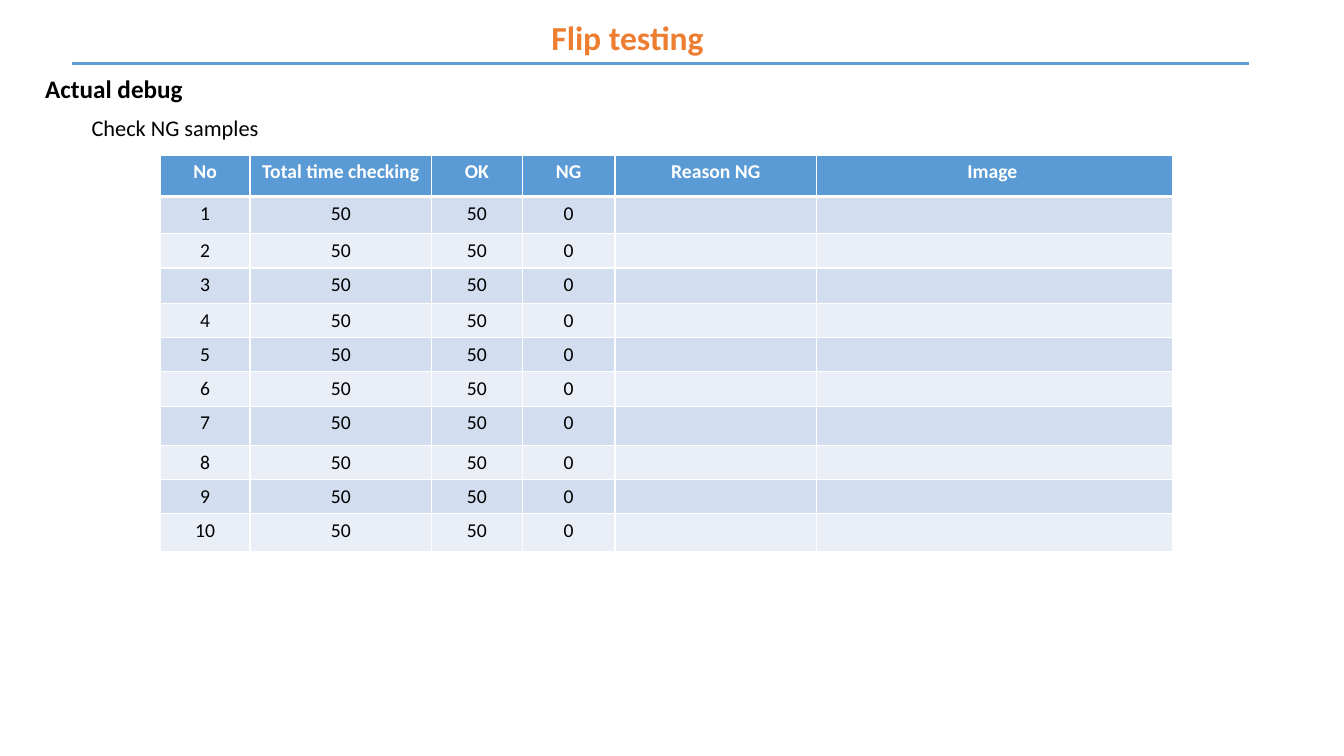
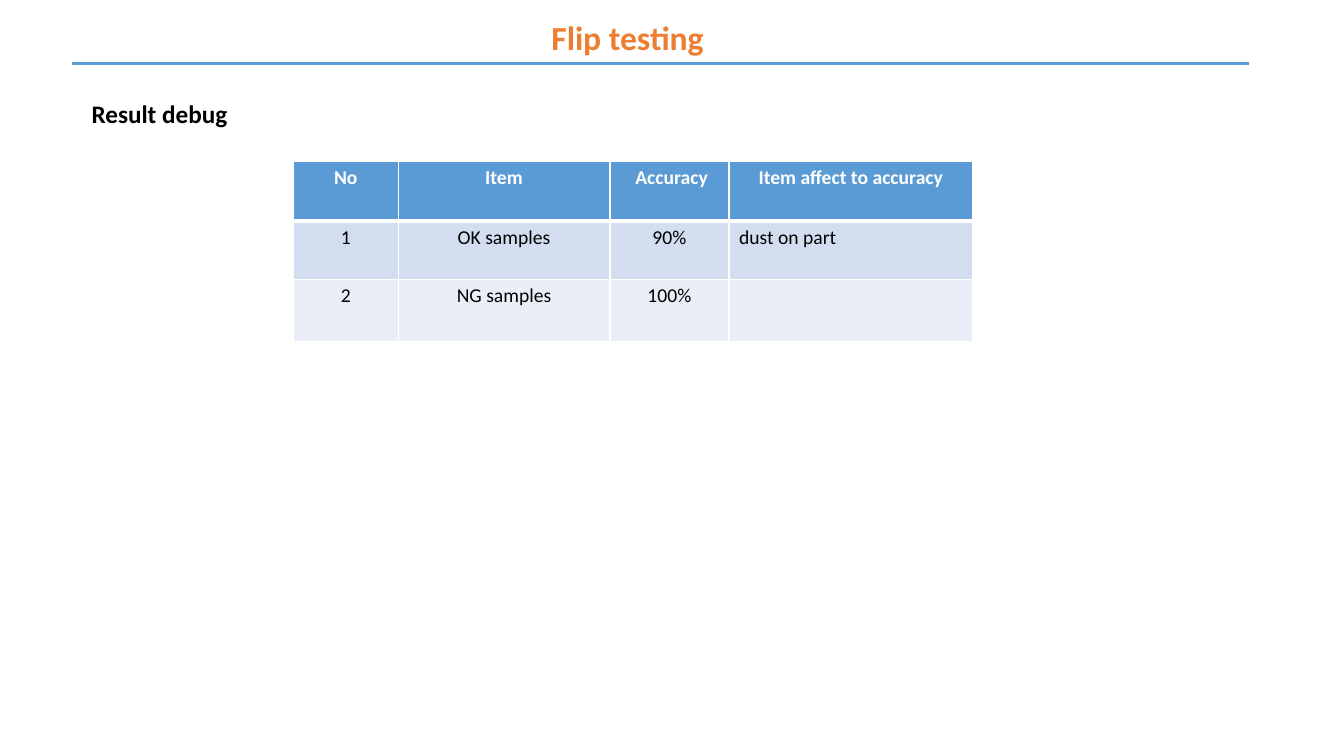
from lxml import etree
from pptx import Presentation
from pptx.dml.color import RGBColor
from pptx.enum.shapes import MSO_CONNECTOR
from pptx.enum.text import MSO_AUTO_SIZE, PP_ALIGN
from pptx.oxml.ns import qn
from pptx.util import Inches, Pt

STRAIGHT = MSO_CONNECTOR.STRAIGHT
FIT_SHAPE = MSO_AUTO_SIZE.SHAPE_TO_FIT_TEXT
LEFT, CENTER = PP_ALIGN.LEFT, PP_ALIGN.CENTER
FONT = "Calibri"
TABLE_SIZE = 14
COLORS = {
    "title": "ED7D31",
    "accent": "5B9BD5",
    "odd": "D2DEEF",
    "even": "EAEFF7",
    "text": "000000",
    "white": "FFFFFF",
}


def rgb(name):
    """Return the named colour of the deck."""
    return RGBColor.from_string(COLORS[name])


def add_span(para, text, size, color, bold=False):
    """Add one formatted run to a paragraph."""
    span = para.add_run()
    span.text = text
    span.font.name = FONT
    span.font.size = Pt(size)
    span.font.bold = bold
    span.font.color.rgb = rgb(color)


def add_label(page, box, text, size, color="text", bold=False):
    """Place a line of text in a box given in inches."""
    frame = page.shapes.add_textbox(*map(Inches, box)).text_frame
    frame.word_wrap = True
    frame.auto_size = FIT_SHAPE
    add_span(frame.paragraphs[0], text, size, color, bold)


def add_page(deck, title):
    """Add a blank slide with the shared title and rule."""
    page = deck.slides.add_slide(deck.slide_layouts[6])
    rule = page.shapes.add_connector(
        STRAIGHT, Inches(0.71), Inches(0.63), Inches(12.39), Inches(0.63))
    rule.line.color.rgb = rgb("accent")
    rule.line.width = Pt(2.25)
    etree.SubElement(rule._element.spPr, qn("a:effectLst"))
    add_label(page, (5.37, 0.12, 2.59, 0.5), title, 24, "title", True)
    return page


def add_borders(cell, widths):
    """Draw white cell borders, with widths in points by side."""
    properties = cell._tc.get_or_add_tcPr()
    for side, width in widths.items():
        line = etree.SubElement(
            properties, qn(f"a:ln{side}"), w=str(Pt(width)))
        fill = etree.SubElement(line, qn("a:solidFill"))
        etree.SubElement(fill, qn("a:srgbClr"), val=COLORS["white"])


def fill_cell(cell, text, row, align):
    """Style one table cell by its row and write its text."""
    header = row == 0
    add_borders(cell, {"L": 1, "R": 1, "T": 3 if row == 1 else 1,
                       "B": 3 if header else 1})
    cell.fill.solid()
    band = "odd" if row % 2 else "even"
    cell.fill.fore_color.rgb = rgb("accent" if header else band)
    para = cell.text_frame.paragraphs[0]
    para.alignment = align
    if text:
        add_span(para, text, TABLE_SIZE, "white" if header else "text", header)
    else:
        etree.SubElement(
            para._p, qn("a:endParaRPr"), sz=str(TABLE_SIZE * 100))


def add_grid(page, origin, widths, heights, rows, left_cells=()):
    """Place a banded table at its origin, in inches."""
    box = (*origin, sum(widths), sum(heights))
    table = page.shapes.add_table(
        len(rows), len(widths), *map(Inches, box)).table
    for column, width in zip(table.columns, widths):
        column.width = Inches(width)
    for line, height in zip(table.rows, heights):
        line.height = Inches(height)
    for row, values in enumerate(rows):
        for column, text in enumerate(values):
            align = LEFT if (row, column) in left_cells else CENTER
            fill_cell(table.cell(row, column), text, row, align)


def add_debug_page(deck, title):
    """Build the slide with the checks of the NG samples."""
    page = add_page(deck, title)
    add_label(page, (0.35, 0.68, 2.66, 0.4), "Actual debug", 18, bold=True)
    add_label(page, (0.81, 1.08, 2.66, 0.37), "Check NG samples", 16)
    header = ["No", "Total time checking", "OK", "NG", "Reason NG", "Image "]
    checks = [[str(number), "50", "50", "0", "", ""]
              for number in range(1, 11)]
    heights = [0.41, 0.37, 0.34, 0.35, 0.34, 0.34,
               0.34, 0.39, 0.34, 0.34, 0.37]
    add_grid(page, (1.59, 1.54), [0.89, 1.8, 0.9, 0.92, 2, 3.53],
             heights, [header, *checks])


def add_result_page(deck, title):
    """Build the slide with the accuracy results."""
    page = add_page(deck, title)
    add_label(page, (0.81, 0.93, 1.83, 0.4), "Result debug", 18, bold=True)
    rows = [
        ["No", "Item", " Accuracy", "Item affect to accuracy"],
        ["1", "OK samples", "90%", "dust on part"],
        ["2", "NG samples", "100%", ""],
    ]
    add_grid(page, (2.91, 1.6), [1.04, 2.1, 1.18, 2.42],
             [0.59, 0.58, 0.62], rows, left_cells={(1, 3)})


def main():
    """Build and save the deck."""
    deck = Presentation()
    deck.slide_width = Inches(13.33)
    deck.slide_height = Inches(7.5)
    title = "Flip testing"
    add_debug_page(deck, title)
    add_result_page(deck, title)
    deck.save("out.pptx")


if __name__ == "__main__":
    main()
